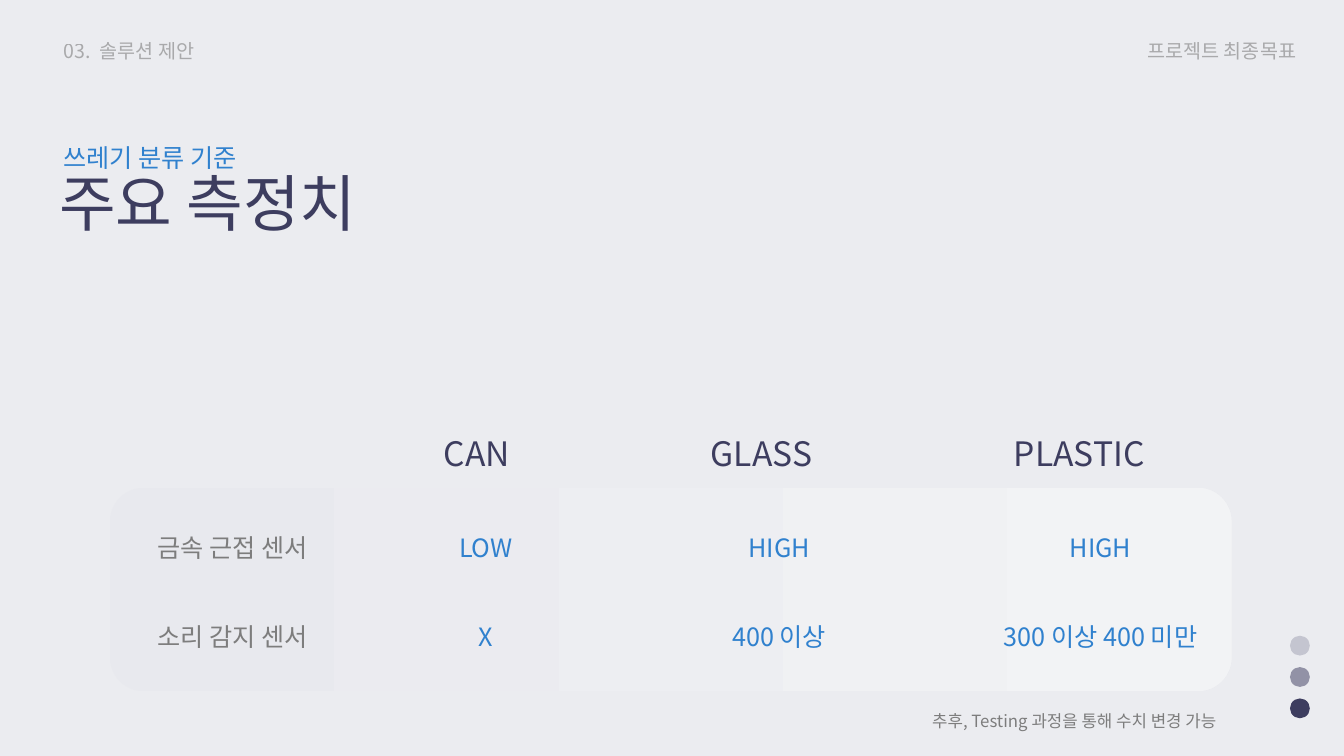
from lxml import etree
from pptx import Presentation
from pptx.dml.color import RGBColor
from pptx.enum.shapes import MSO_SHAPE
from pptx.enum.text import MSO_ANCHOR, PP_ALIGN
from pptx.oxml.ns import qn
from pptx.util import Cm, Pt

LEFT, MID, RIGHT = PP_ALIGN.LEFT, PP_ALIGN.CENTER, PP_ALIGN.RIGHT
TOP, MIDDLE = MSO_ANCHOR.TOP, MSO_ANCHOR.MIDDLE
ROUND, OVAL = MSO_SHAPE.ROUNDED_RECTANGLE, MSO_SHAPE.OVAL
FACE = "Noto Sans CJK KR"
PLAIN = "{2D5ABB26-0587-4C30-8999-92F81FD0307C}"
COLORS = {
    "back": "EBECF0",
    "gray": "7D7D7D",
    "blue": "3081CE",
    "navy": "3D3D5F",
    "dim": "E8E9EE",
    "pale": "F2F3F5",
}


def tint(name):
    return RGBColor.from_string(COLORS[name])


def fade(node, share):
    color = next(node.iter(qn("a:srgbClr")))
    etree.SubElement(color, qn("a:alpha")).set("val", str(share * 1000))


def write(frame, text, size, color, align=LEFT, alpha=100):
    frame.text = text
    para = frame.paragraphs[0]
    para.alignment = align
    font = para.font
    font.name, font.size, font.bold = FACE, Pt(size), False
    font.color.rgb = tint(color)
    etree.SubElement(font._rPr, qn("a:ea")).set("typeface", FACE)
    if alpha < 100:
        fade(font._rPr, alpha)


def label(slide, box, text, size, color, align=LEFT, alpha=100, wrap=False):
    frame = slide.shapes.add_textbox(*map(Cm, box)).text_frame
    frame.word_wrap = wrap
    write(frame, text, size, color, align, alpha)


def header(slide, left, top, width):
    label(slide, (left, top, 3.84, 0.86), "03.  솔루션 제안", 14, "gray", alpha=60)
    label(slide, (left + width - 4.32, top, 4.32, 0.86), "프로젝트 최종목표",
          14, "gray", RIGHT, 60)


def heading(slide, left, top):
    label(slide, (left, top, 4.95, 1.02), "쓰레기 분류 기준", 18, "blue")
    title = slide.shapes.title
    title.left, title.top = Cm(left - 0.11), Cm(top + 0.59)
    title.width, title.height = Cm(8.38), Cm(2.13)
    frame = title.text_frame
    frame.word_wrap = False
    frame.vertical_anchor = TOP
    write(frame, "주요 측정치", 44, "navy")
    frame.paragraphs[0].line_spacing = 1.0
    frame.paragraphs[0].space_before = Pt(0)


def dots(slide, left, top):
    group = slide.shapes.add_group_shape()
    for step, alpha in enumerate((22, 51, 100)):
        dot = group.shapes.add_shape(
            OVAL, Cm(left), Cm(top + step * 0.79), Cm(0.5), Cm(0.5))
        dot.shadow.inherit = False
        dot.line.fill.background()
        dot.fill.solid()
        dot.fill.fore_color.rgb = tint("navy")
        if alpha < 100:
            fade(dot._element.spPr, alpha)


def panel(slide, box):
    card = slide.shapes.add_shape(ROUND, *map(Cm, box))
    card.shadow.inherit = False
    card.line.fill.background()
    card.fill.gradient()
    card.fill.gradient_angle = 0
    for stop, place, name in zip(card.fill.gradient_stops, (0, 1), ("dim", "pale")):
        stop.position = place
        stop.color.rgb = tint(name)


def limits(slide, left, top):
    rows = (
        ("", "CAN", "GLASS", "PLASTIC"),
        ("금속 근접 센서", "LOW", "HIGH", "HIGH"),
        ("소리 감지 센서", "X", "400 이상", "300 이상 400 미만"),
    )
    wide, high = (5.31, 6.45, 8.33, 7.87), (2.44, 2.34, 2.13)
    inset = (0.25, 2.16, 2.44, 1.75)
    table = slide.shapes.add_table(
        len(high), len(wide), Cm(left), Cm(top), Cm(sum(wide)), Cm(sum(high))).table
    table.first_row = table.horz_banding = False
    table._tbl.tblPr.find(qn("a:tableStyleId")).text = PLAIN
    for col, size in zip(table.columns, wide):
        col.width = Cm(size)
    for row, size in zip(table.rows, high):
        row.height = Cm(size)
    for r, row in enumerate(rows):
        for c, text in enumerate(row):
            cell = table.cell(r, c)
            cell.fill.background()
            cell.vertical_anchor = MIDDLE
            if r == 0:
                cell.margin_left = Cm(inset[c])
                write(cell.text_frame, text, 24, "navy")
            elif c == 0:
                write(cell.text_frame, text, 18, "gray")
            else:
                write(cell.text_frame, text, 18, "blue", MID)


def main():
    deck = Presentation()
    deck.slide_width, deck.slide_height = Cm(33.87), Cm(19.05)
    slide = deck.slides.add_slide(deck.slide_layouts[5])
    slide.background.fill.solid()
    slide.background.fill.fore_color.rgb = tint("back")
    header(slide, 1.35, 0.86, 31.57)
    heading(slide, 1.35, 3.45)
    dots(slide, 32.51, 16.02)
    panel(slide, (2.77, 12.29, 28.27, 5.13))
    limits(slide, 3.71, 10.16)
    label(slide, (23.14, 17.78, 7.87, 0.76),
          "추후, Testing 과정을 통해 수치 변경 가능", 12, "gray", MID, wrap=True)
    deck.save("out.pptx")


if __name__ == "__main__":
    main()
